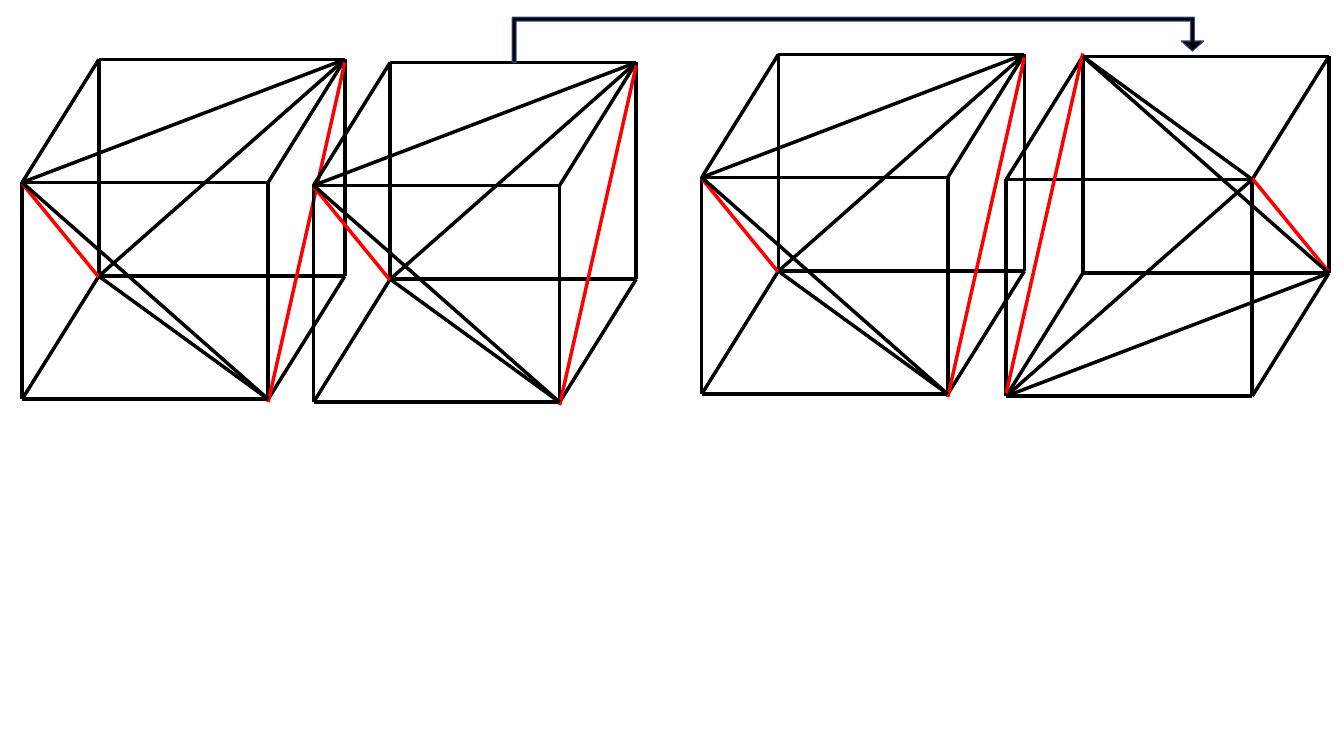
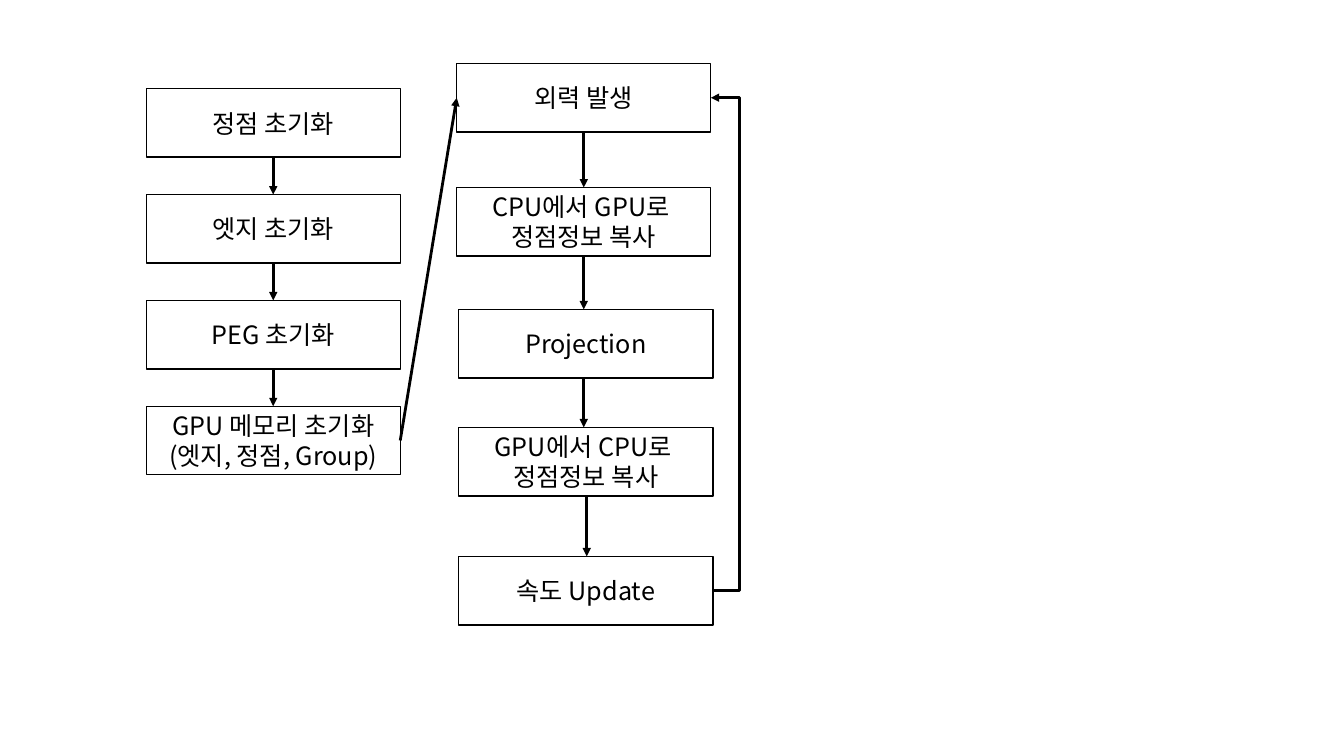
from lxml import etree
from pptx import Presentation
from pptx.dml.color import RGBColor
from pptx.enum.shapes import MSO_CONNECTOR, MSO_SHAPE
from pptx.enum.text import MSO_ANCHOR, PP_ALIGN
from pptx.oxml.ns import qn
from pptx.util import Inches, Pt

STRAIGHT, ELBOW = MSO_CONNECTOR.STRAIGHT, MSO_CONNECTOR.ELBOW
RECTANGLE, U_TURN = MSO_SHAPE.RECTANGLE, MSO_SHAPE.U_TURN_ARROW
MIDDLE, CENTER = MSO_ANCHOR.MIDDLE, PP_ALIGN.CENTER

COLOURS = {"ink": "000000", "paper": "FFFFFF", "accent": "FF0000", "rim": "325491"}
FONT = "Noto Sans CJK KR"
BLANK_LAYOUT = 6

# Cube size, and how far the back face is moved from the front face
CUBE_WIDTH, CUBE_HEIGHT = 2.44, 2.15
DEPTH_X, DEPTH_Y = 0.76, 1.22

# Corners as (right, up, back) steps from the front lower left corner
CORNERS = {
    "front low left": (0, 0, 0), "front low right": (1, 0, 0),
    "front top left": (0, 1, 0), "front top right": (1, 1, 0),
    "back low left": (0, 0, 1), "back low right": (1, 0, 1),
    "back top left": (0, 1, 1), "back top right": (1, 1, 1),
}
# Face diagonals, back to front: start, end, colour, downward shift
DIAGONALS = [
    ("back low left", "back top right", "ink", 0),
    ("front top left", "back top right", "ink", 0),
    ("front top left", "back low left", "accent", 0.01),
    ("back top right", "front low right", "accent", 0.03),
    ("back low left", "front low right", "ink", 0),
    ("front top left", "front low right", "ink", 0),
]
# Front lower left corner and direction; -1 turns the cube by 180 degrees
CUBES = [(0.22, 3.96, 1), (3.11, 3.99, 1), (6.96, 3.91, 1), (13.18, 0.56, -1)]

# Flow boxes
BOX_WIDTH, BOX_HEIGHT = 2.52, 0.68
SETUP_LEFT, SETUP_TOP, SETUP_STEP = 1.45, 0.88, 1.05
SETUP = ["정점 초기화", "엣지 초기화", "PEG 초기화",
         "GPU 메모리 초기화(엣지, 정점, Group)"]
LOOP = [
    (4.53, 0.63, ["외력 발생"]),
    (4.53, 1.86, ["CPU에서 GPU로 ", "정점정보 복사"]),
    (4.55, 3.07, ["Projection"]),
    (4.55, 4.24, ["GPU에서 CPU로 ", "정점정보 복사"]),
    (4.55, 5.52, ["속도 Update"]),
]
RETURN_X = 7.33


def rgb(name):
    return RGBColor.from_string(COLOURS[name])


def add_line(page, start, end, colour="ink", width=2.5, kind=STRAIGHT, arrow=False):
    line = page.shapes.add_connector(kind, *map(Inches, (*start, *end)))
    line.line.color.rgb = rgb(colour)
    line.line.width = Pt(width)
    properties = line._element.spPr
    if arrow:
        outline = properties.find(qn("a:ln"))
        etree.SubElement(outline, qn("a:tailEnd"), type="triangle")
    etree.SubElement(properties, qn("a:effectLst"))
    return line


def add_arrow(page, start, end, kind=STRAIGHT):
    return add_line(page, start, end, width=2, kind=kind, arrow=True)


def add_filled(page, kind, place, fill, line, width):
    shape = page.shapes.add_shape(kind, *map(Inches, place))
    shape.shadow.inherit = False
    shape.fill.solid()
    shape.fill.fore_color.rgb = rgb(fill)
    shape.line.color.rgb = rgb(line)
    shape.line.width = Pt(width)
    return shape


def add_box(page, left, top, lines):
    box = add_filled(page, RECTANGLE, (left, top, BOX_WIDTH, BOX_HEIGHT),
                     "paper", "ink", 1)
    frame = box.text_frame
    frame.word_wrap = True
    frame.vertical_anchor = MIDDLE
    for index, text in enumerate(lines):
        para = frame.add_paragraph() if index else frame.paragraphs[0]
        para.alignment = CENTER
        span = para.add_run()
        span.text = text
        span.font.size = Pt(18)
        span.font.name = FONT
        span.font.color.rgb = rgb("ink")
        east_asian = etree.SubElement(span.font._element, qn("a:ea"))
        east_asian.set("typeface", FONT)


def add_cube(page, left, bottom, direction):
    def locate(corner, shift=0.0):
        right, up, back = CORNERS[corner]
        across = right * CUBE_WIDTH + back * DEPTH_X
        down = shift - up * CUBE_HEIGHT - back * DEPTH_Y
        return left + direction * across, bottom + direction * down

    # Edges join corners that differ in one step
    names = list(CORNERS)
    for index, first in enumerate(names):
        for second in names[index + 1:]:
            steps = zip(CORNERS[first], CORNERS[second])
            if sum(a != b for a, b in steps) == 1:
                add_line(page, locate(first), locate(second))
    for first, second, colour, shift in DIAGONALS:
        add_line(page, locate(first, shift), locate(second, shift), colour)


def build_cubes(page):
    for cube in CUBES:
        add_cube(page, *cube)
    turn = add_filled(page, U_TURN, (5.08, 0.17, 6.86, 0.45), "ink", "rim", 0)
    for index, value in enumerate((0.086, 0.25, 0.224, 0, 0.75)):
        turn.adjustments[index] = value


def build_flow(page):
    # Set-up column
    middle = SETUP_LEFT + BOX_WIDTH / 2
    setup_tops = [SETUP_TOP + index * SETUP_STEP for index in range(len(SETUP))]
    for text, setup_top in zip(SETUP, setup_tops):
        add_box(page, SETUP_LEFT, setup_top, [text])
    for upper_top, lower_top in zip(setup_tops, setup_tops[1:]):
        add_arrow(page, (middle, upper_top + BOX_HEIGHT), (middle, lower_top))

    # Loop column
    for left, top, lines in LOOP:
        add_box(page, left, top, lines)
    for index, (upper, lower) in enumerate(zip(LOOP, LOOP[1:])):
        x = 5.82 if index == len(LOOP) - 2 else 5.79
        add_arrow(page, (x, upper[1] + BOX_HEIGHT), (x, lower[1]))

    # Entry into the loop, and the way back to its start
    half = BOX_HEIGHT / 2
    first_left, first_top, _ = LOOP[0]
    last_left, last_top, _ = LOOP[-1]
    add_arrow(page, (SETUP_LEFT + BOX_WIDTH, setup_tops[-1] + half),
              (first_left, first_top + half))
    start = (last_left + BOX_WIDTH, last_top + half)
    end = (first_left + BOX_WIDTH, first_top + half)
    back = add_arrow(page, start, end, ELBOW)
    bend = round((RETURN_X - start[0]) / (end[0] - start[0]) * 100000)
    guides = back._element.spPr.find(qn("a:prstGeom")).find(qn("a:avLst"))
    etree.SubElement(guides, qn("a:gd"), name="adj1", fmla=f"val {bend}")


def main():
    deck = Presentation()
    deck.slide_width, deck.slide_height = Inches(13.33), Inches(7.5)
    for build in (build_cubes, build_flow):
        build(deck.slides.add_slide(deck.slide_layouts[BLANK_LAYOUT]))
    deck.save("out.pptx")


main()
